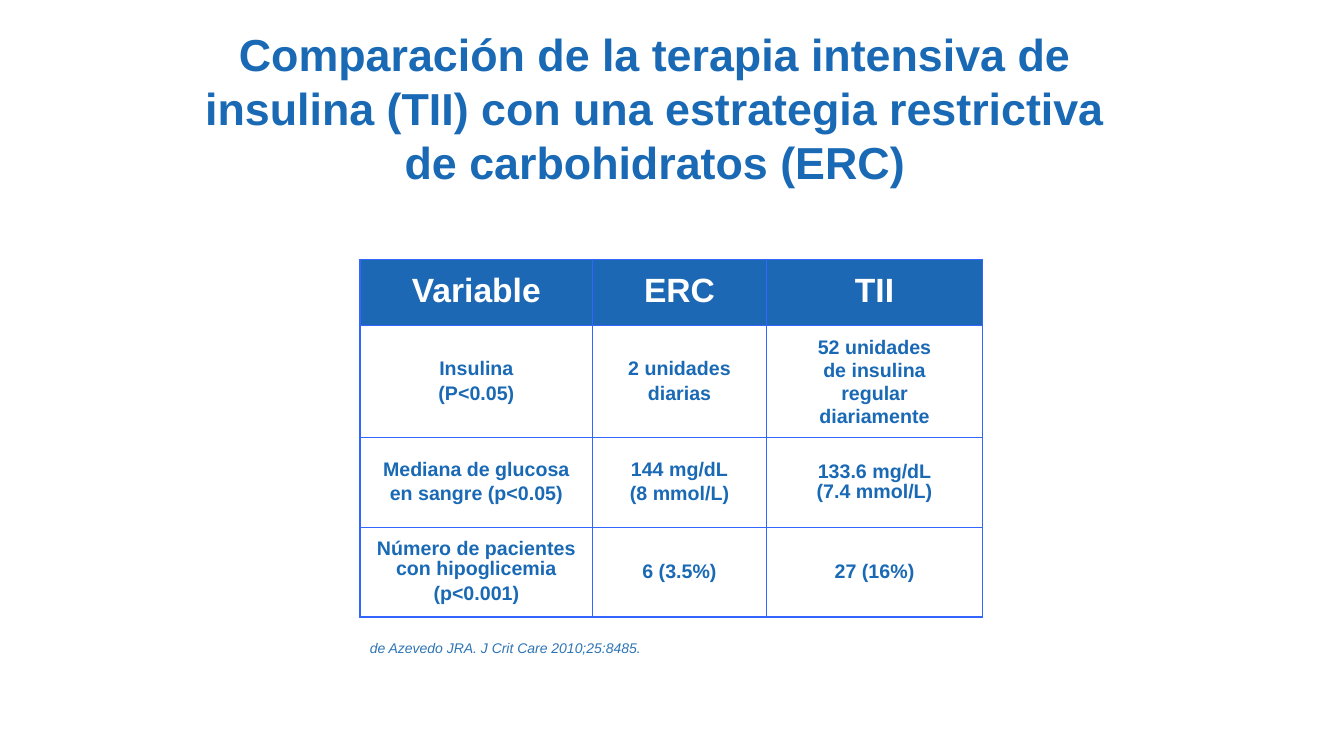
from dataclasses import dataclass

from lxml import etree
from pptx import Presentation
from pptx.dml.color import RGBColor
from pptx.enum.text import MSO_ANCHOR, MSO_AUTO_SIZE, PP_ALIGN
from pptx.oxml.ns import qn
from pptx.util import Cm, Pt

CENTER, LEFT = PP_ALIGN.CENTER, PP_ALIGN.LEFT
MIDDLE = MSO_ANCHOR.MIDDLE
GROW = MSO_AUTO_SIZE.SHAPE_TO_FIT_TEXT

FONT = "Arial"
BLUE = RGBColor(0x19, 0x69, 0xB5)
HEADER_BLUE = RGBColor(0x1D, 0x68, 0xB4)
BORDER_BLUE = RGBColor(0x33, 0x66, 0xFF)
CITATION_BLUE = RGBColor(0x2E, 0x75, 0xB6)
WHITE = RGBColor(0xFF, 0xFF, 0xFF)


@dataclass
class Style:
    size: float
    color: RGBColor
    bold: bool = False
    italic: bool = False
    align: int = CENTER


@dataclass
class TextBox:
    left: float
    top: float
    width: float
    height: float
    text: str
    style: Style


@dataclass
class Cell:
    paragraphs: tuple[str, ...]
    spacing: float | Pt = 0.9


HEADER_STYLE = Style(24, WHITE, bold=True)
BODY_STYLE = Style(14, BLUE, bold=True)

TITLE = TextBox(
    4.57, 0.56, 23.88, 4.37,
    "Comparación de la terapia intensiva de insulina (TII) "
    "con una estrategia restrictiva de carbohidratos (ERC)",
    Style(32, BLUE, bold=True))
CITATION = TextBox(
    9.07, 16, 12.47, 0.69, "de Azevedo JRA. J Crit Care 2010;25:8485.",
    Style(10, CITATION_BLUE, italic=True, align=LEFT))

TABLE_LEFT, TABLE_TOP = 9.07, 6.53
COL_WIDTHS = (5.87, 4.37, 5.46)
ROW_HEIGHTS = (1.68, 2.82, 2.26, 2.26)
# Each string is a paragraph; \n is a line break inside it
ROWS = (
    (Cell(("Variable",)), Cell(("ERC",)), Cell(("TII",))),
    (Cell(("Insulina", "(P<0.05)")),
     Cell(("2 unidades", "diarias")),
     Cell(("52 unidades\nde insulina\nregular\ndiariamente",), Pt(16.4))),
    (Cell(("Mediana de glucosa", "en sangre (p<0.05)")),
     Cell(("144 mg/dL", "(8 mmol/L)")),
     Cell(("133.6 mg/dL\n(7.4 mmol/L)",))),
    (Cell(("Número de pacientes\ncon hipoglicemia", "(p<0.001)")),
     Cell(("6 (3.5%)",)),
     Cell(("27 (16%)",))),
)


def add_text(p, text: str, style: Style) -> None:
    p.alignment = style.align
    for i, line in enumerate(text.split("\n")):
        if i:
            p.add_line_break()
        r = p.add_run()
        r.text = line
        r.font.name = FONT
        r.font.size = Pt(style.size)
        r.font.bold = style.bold
        r.font.italic = style.italic
        r.font.color.rgb = style.color


def add_text_box(s, box: TextBox) -> None:
    sp = s.shapes.add_textbox(Cm(box.left), Cm(box.top), Cm(box.width), Cm(box.height))
    tf = sp.text_frame
    tf.word_wrap = True
    tf.auto_size = GROW
    add_text(tf.paragraphs[0], box.text, box.style)


def add_borders(cell) -> None:
    tc_pr = cell._tc.get_or_add_tcPr()
    for i, side in enumerate(("a:lnL", "a:lnR", "a:lnT", "a:lnB")):
        ln = etree.Element(qn(side), w=str(Pt(1)))
        fill = etree.SubElement(ln, qn("a:solidFill"))
        etree.SubElement(fill, qn("a:srgbClr"), val=str(BORDER_BLUE))
        tc_pr.insert(i, ln)


def fill_cell(cell, content: Cell, header: bool) -> None:
    style = HEADER_STYLE if header else BODY_STYLE
    cell.vertical_anchor = MIDDLE
    cell.margin_left = cell.margin_right = cell.margin_top = cell.margin_bottom = 0
    if header:
        cell.fill.solid()
        cell.fill.fore_color.rgb = HEADER_BLUE
    else:
        cell.fill.background()
    add_borders(cell)
    tf = cell.text_frame
    for i, text in enumerate(content.paragraphs):
        p = tf.add_paragraph() if i else tf.paragraphs[0]
        p.line_spacing = content.spacing
        if i:
            p.space_before = Pt(style.size / 4)
        add_text(p, text, style)


def add_comparison_table(s) -> None:
    table = s.shapes.add_table(
        len(ROWS), len(COL_WIDTHS), Cm(TABLE_LEFT), Cm(TABLE_TOP),
        Cm(sum(COL_WIDTHS)), Cm(sum(ROW_HEIGHTS))).table
    for column, width in zip(table.columns, COL_WIDTHS):
        column.width = Cm(width)
    for i, (height, row) in enumerate(zip(ROW_HEIGHTS, ROWS)):
        table.rows[i].height = Cm(height)
        for j, content in enumerate(row):
            fill_cell(table.cell(i, j), content, header=i == 0)


def main() -> None:
    prs = Presentation()
    prs.slide_width, prs.slide_height = Cm(33.87), Cm(19.05)
    s = prs.slides.add_slide(prs.slide_layouts[6])

    # Title, table and citation
    add_text_box(s, TITLE)
    add_comparison_table(s)
    add_text_box(s, CITATION)

    prs.save("out.pptx")


if __name__ == "__main__":
    main()
